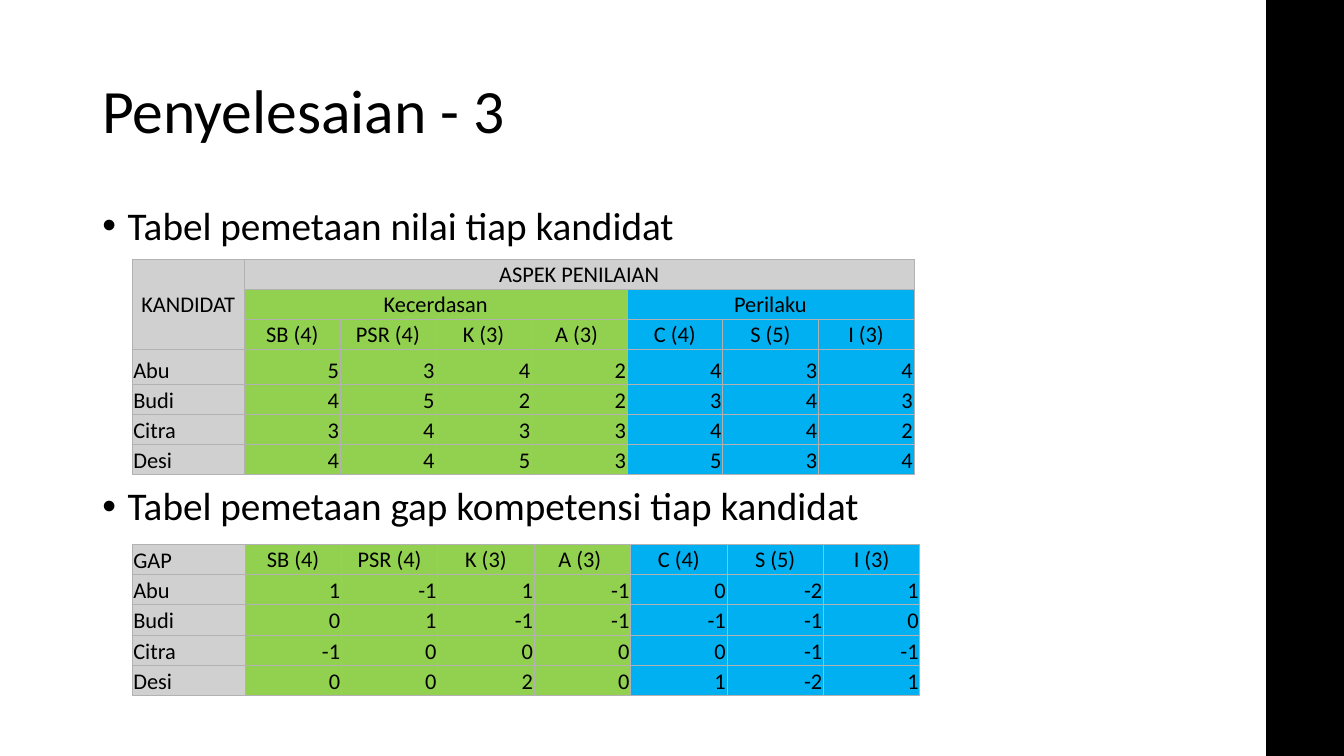
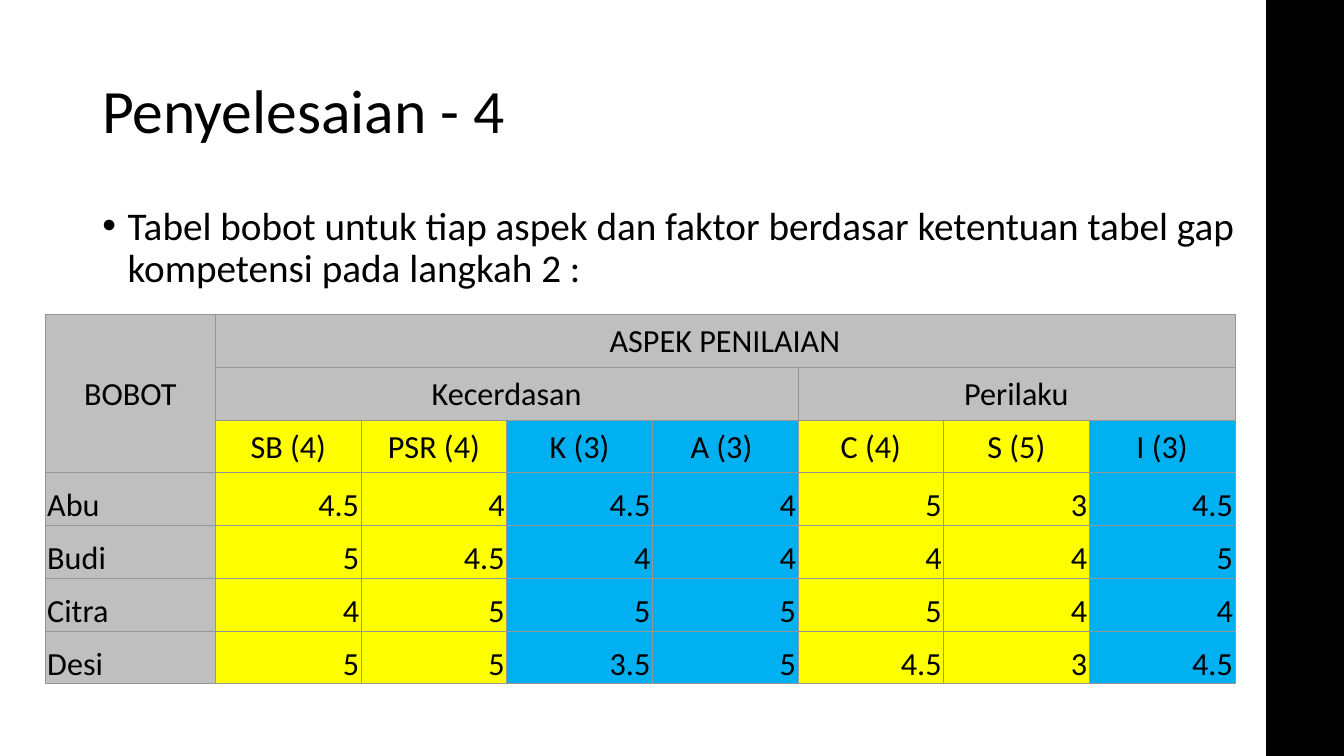
from dataclasses import dataclass
from typing import Any

from lxml import etree
from pptx import Presentation
from pptx.dml.color import RGBColor
from pptx.enum.shapes import MSO_SHAPE
from pptx.enum.text import MSO_ANCHOR, PP_ALIGN
from pptx.oxml.ns import qn
from pptx.presentation import Presentation as Deck
from pptx.slide import Slide
from pptx.table import Table, _Cell
from pptx.text.text import TextFrame
from pptx.util import Cm, Pt

BLACK = RGBColor(0x00, 0x00, 0x00)
GREEN = RGBColor(0x92, 0xD0, 0x50)
BLUE = RGBColor(0x00, 0xB0, 0xF0)
YELLOW = RGBColor(0xFF, 0xFF, 0x00)
LIGHT_GREY = RGBColor(0xD0, 0xD0, 0xD0)
GREY = RGBColor(0xBF, 0xBF, 0xBF)
LIGHT_BORDER = RGBColor(0xB2, 0xB2, 0xB2)
DARK_BORDER = RGBColor(0x96, 0x96, 0x96)

RECTANGLE = MSO_SHAPE.RECTANGLE
TOP, MIDDLE, BOTTOM = MSO_ANCHOR.TOP, MSO_ANCHOR.MIDDLE, MSO_ANCHOR.BOTTOM
LEFT, CENTER, RIGHT = PP_ALIGN.LEFT, PP_ALIGN.CENTER, PP_ALIGN.RIGHT

FONT = "Calibri"
SLIDE_WIDTH, SLIDE_HEIGHT = 33.87, 19.05
BAR_LEFT = 31.93
TEXT_LEFT, TEXT_WIDTH = 2.33, 29.21
BLANK_LAYOUT = 6
BULLET_INDENT = Cm(0.64)
SECOND_BULLET_GAP = Pt(170)

FACTORS = ["SB (4)", "PSR (4)", "K (3)", "A (3) ", "C (4)", "S (5)", "I (3)"]
CANDIDATES = ["Abu", "Budi", "Citra", "Desi"]
ASPECT_FILLS = [GREEN] * 4 + [BLUE] * 3
FACTOR_FILLS = [YELLOW, YELLOW, BLUE, BLUE, YELLOW, YELLOW, BLUE]
ASPECT_SPANS = [(0, 0, 2, 0), (0, 1, 0, 7), (1, 1, 1, 4), (1, 5, 1, 7)]


@dataclass(frozen=True)
class ScoreTable:
    corner: str
    scores: list[str]
    left: float
    top: float
    label_width: float
    factor_width: float
    row_heights: list[float]
    fills: list[RGBColor]
    label_fill: RGBColor
    border: RGBColor
    size: float
    inset: float
    has_aspects: bool = True
    grey_rows: int = 0


@dataclass(frozen=True)
class SlideContent:
    title: str
    bullets: list[str]
    tables: list[ScoreTable]


SLIDES = [
    SlideContent(
        "Penyelesaian - 3",
        ["Tabel pemetaan nilai tiap kandidat",
         "Tabel pemetaan gap kompetensi tiap kandidat"],
        [
            ScoreTable(
                "KANDIDAT",
                ["5 3 4 2 4 3 4", "4 5 2 2 3 4 3", "3 4 3 3 4 4 2", "4 4 5 3 5 3 4"],
                3.33, 6.53, 2.83, 2.41, [0.76] * 3 + [0.87] + [0.76] * 3,
                ASPECT_FILLS, LIGHT_GREY, LIGHT_BORDER, 16, 0.03, grey_rows=1,
            ),
            ScoreTable(
                "GAP",
                ["1 -1 1 -1 0 -2 1", "0 1 -1 -1 -1 -1 0", "-1 0 0 0 0 -1 -1", "0 0 2 0 1 -2 1"],
                3.33, 13.72, 2.84, 2.43, [0.76] * 5,
                ASPECT_FILLS, LIGHT_GREY, LIGHT_BORDER, 16, 0.03, has_aspects=False,
            ),
        ],
    ),
    SlideContent(
        "Penyelesaian - 4",
        ["Tabel bobot untuk tiap aspek dan faktor berdasar ketentuan tabel gap "
         "kompetensi pada langkah 2 :"],
        [
            ScoreTable(
                "BOBOT",
                ["4.5 4 4.5 4 5 3 4.5", "5 4.5 4 4 4 4 5", "4 5 5 5 5 4 4", "5 5 3.5 5 4.5 3 4.5"],
                1.14, 7.92, 4.29, 3.67, [1.33] * 7,
                FACTOR_FILLS, GREY, DARK_BORDER, 23, 0.05, grey_rows=2,
            ),
        ],
    ),
]


def apply_format(target: Any, values: dict[str, Any]) -> None:
    for name, value in values.items():
        setattr(target, name, value)


def write_text(paragraph: Any, text: str, size: float) -> None:
    run = paragraph.add_run()
    run.text = text
    apply_format(run.font, {"name": FONT, "size": Pt(size), "bold": False})
    run.font.color.rgb = BLACK


def add_text_frame(slide: Slide, top: float, height: float, anchor: MSO_ANCHOR) -> TextFrame:
    shape = slide.shapes.add_textbox(Cm(TEXT_LEFT), Cm(top), Cm(TEXT_WIDTH), Cm(height))
    apply_format(shape.text_frame, {"word_wrap": True, "vertical_anchor": anchor})
    return shape.text_frame


def add_bar(slide: Slide) -> None:
    bar = slide.shapes.add_shape(
        RECTANGLE, Cm(BAR_LEFT), 0, Cm(SLIDE_WIDTH - BAR_LEFT), Cm(SLIDE_HEIGHT)
    )
    bar.shadow.inherit = False
    bar.fill.solid()
    bar.fill.fore_color.rgb = BLACK
    bar.line.color.rgb = BLACK
    bar.line.width = Pt(1)


def add_title(slide: Slide, title: str) -> None:
    paragraph = add_text_frame(slide, 1.02, 3.68, MIDDLE).paragraphs[0]
    paragraph.line_spacing = 0.9
    write_text(paragraph, title, 44)


def add_bullets(slide: Slide, bullets: list[str]) -> None:
    frame = add_text_frame(slide, 5.08, 12.09, TOP)
    for index, text in enumerate(bullets):
        paragraph = frame.add_paragraph() if index else frame.paragraphs[0]
        properties = paragraph._p.get_or_add_pPr()
        properties.set("marL", str(BULLET_INDENT))
        properties.set("indent", str(-BULLET_INDENT))
        etree.SubElement(properties, qn("a:buFont"), typeface="Arial")
        etree.SubElement(properties, qn("a:buChar"), char="•")
        spacing = {"line_spacing": 0.9}
        if index:
            spacing["space_before"] = SECOND_BULLET_GAP
        apply_format(paragraph, spacing)
        write_text(paragraph, text, 28)


def set_borders(cell: _Cell, color: RGBColor) -> None:
    properties = cell._tc.get_or_add_tcPr()
    for index, side in enumerate(("lnL", "lnR", "lnT", "lnB")):
        line = etree.Element(qn(f"a:{side}"), w=str(Pt(0.5)))
        fill = etree.SubElement(line, qn("a:solidFill"))
        etree.SubElement(fill, qn("a:srgbClr"), val=str(color))
        properties.insert(index, line)


def table_rows(content: ScoreTable) -> list[list[str]]:
    if content.has_aspects:
        header = [
            [content.corner, "ASPEK PENILAIAN"] + [""] * 6,
            ["", "Kecerdasan", "", "", "", "Perilaku", "", ""],
            [""] + FACTORS,
        ]
    else:
        header = [[content.corner] + FACTORS]
    return header + [[name] + row.split() for name, row in zip(CANDIDATES, content.scores)]


def format_cell(cell: _Cell, text: str, fill: RGBColor, centered: bool,
                alignment: PP_ALIGN, content: ScoreTable) -> None:
    inset = Cm(content.inset)
    apply_format(cell, {
        "margin_left": inset,
        "margin_right": inset,
        "margin_top": inset,
        "margin_bottom": 0,
        "vertical_anchor": MIDDLE if centered else BOTTOM,
    })
    set_borders(cell, content.border)
    cell.fill.solid()
    cell.fill.fore_color.rgb = fill
    if text:
        paragraph = cell.text_frame.paragraphs[0]
        paragraph.alignment = CENTER if centered else alignment
        write_text(paragraph, text, content.size)


def merge_aspects(table: Table) -> None:
    for first_row, first_column, last_row, last_column in ASPECT_SPANS:
        table.cell(first_row, first_column).merge(table.cell(last_row, last_column))


def add_score_table(slide: Slide, content: ScoreTable) -> None:
    rows = table_rows(content)
    widths = [content.label_width] + [content.factor_width] * len(FACTORS)
    table = slide.shapes.add_table(
        len(rows), len(widths), Cm(content.left), Cm(content.top),
        Cm(sum(widths)), Cm(sum(content.row_heights)),
    ).table
    apply_format(table, {"first_row": False, "horz_banding": False})
    for column, width in zip(table.columns, widths):
        column.width = Cm(width)
    for row, height in zip(table.rows, content.row_heights):
        row.height = Cm(height)
    if content.has_aspects:
        merge_aspects(table)
    header_count = len(rows) - len(CANDIDATES)
    for row_index, texts in enumerate(rows):
        for column_index, text in enumerate(texts):
            is_label = column_index == 0
            is_grey = is_label or row_index < content.grey_rows
            fill = content.label_fill if is_grey else content.fills[column_index - 1]
            centered = row_index < header_count and (content.has_aspects or not is_label)
            alignment = LEFT if is_label else RIGHT
            cell = table.cell(row_index, column_index)
            format_cell(cell, text, fill, centered, alignment, content)


def add_slide(presentation: Deck, content: SlideContent) -> None:
    slide = presentation.slides.add_slide(presentation.slide_layouts[BLANK_LAYOUT])
    add_bar(slide)
    add_title(slide, content.title)
    add_bullets(slide, content.bullets)
    for table in content.tables:
        add_score_table(slide, table)


def main() -> None:
    presentation = Presentation()
    apply_format(presentation, {"slide_width": Cm(SLIDE_WIDTH), "slide_height": Cm(SLIDE_HEIGHT)})
    for content in SLIDES:
        add_slide(presentation, content)
    presentation.save("out.pptx")


if __name__ == "__main__":
    main()
